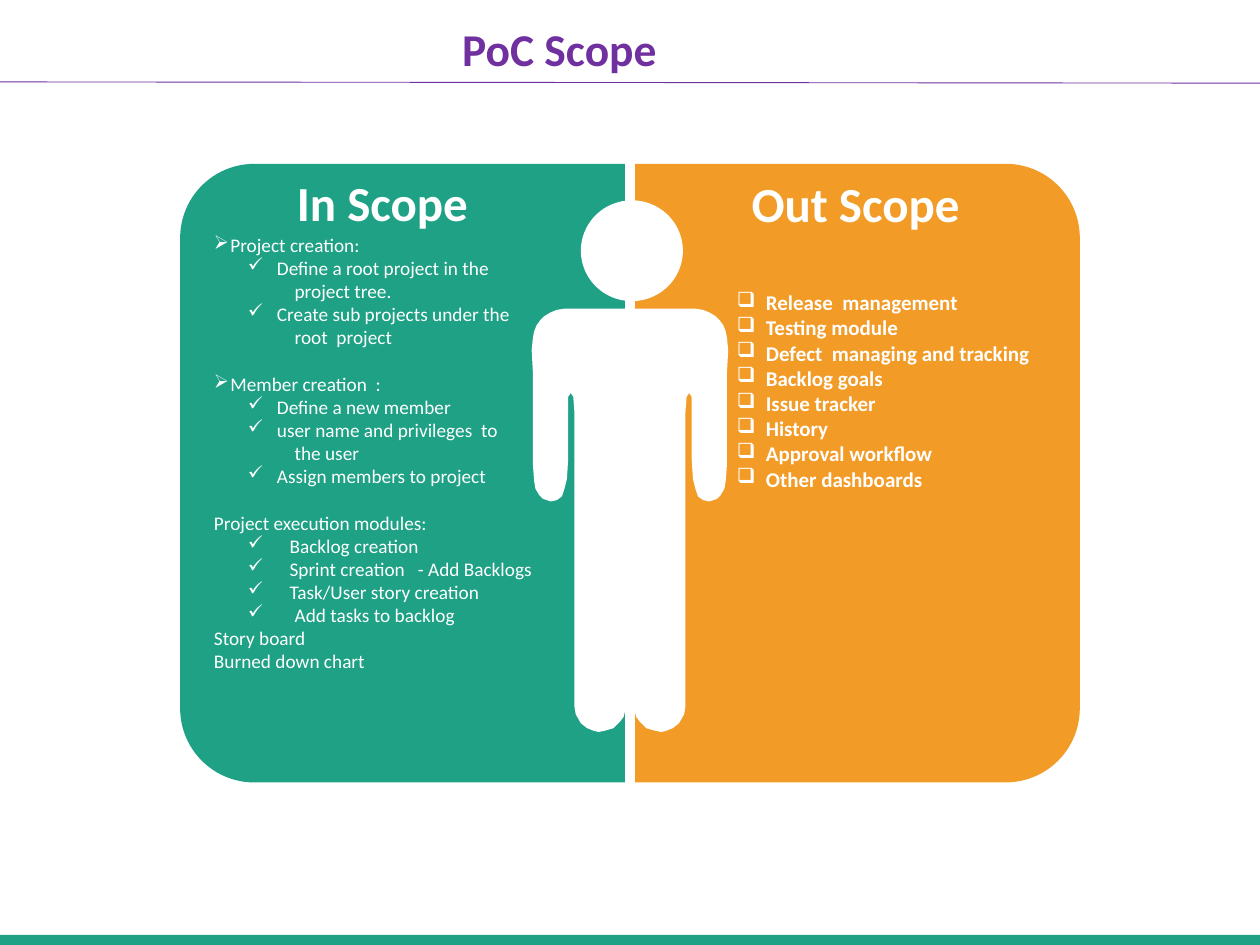
from lxml import etree
from pptx import Presentation
from pptx.dml.color import RGBColor
from pptx.enum.shapes import MSO_CONNECTOR, MSO_SHAPE as SHAPE
from pptx.enum.text import MSO_ANCHOR, PP_ALIGN
from pptx.oxml.ns import qn
from pptx.util import Inches, Pt

COLORS = {"green": "1EA185", "orange": "F29B26", "purple": "7030A0", "white": "FFFFFF"}
FONT = "Calibri"

prs = Presentation()
prs.slide_width, prs.slide_height = Inches(10), Inches(7.5)
s = prs.slides.add_slide(prs.slide_layouts[6])


def paint(sp, color):
    """Give a shape a plain fill, with no outline and no shadow."""
    sp.fill.solid()
    sp.fill.fore_color.rgb = RGBColor.from_string(COLORS[color])
    sp.line.fill.background()
    sp.shadow.inherit = False


def add_text(box, items, size, color="white", bold=False, align=PP_ALIGN.LEFT):
    """Add a text box; items are (text, bullet, text margin, bullet margin, space before)."""
    tf = s.shapes.add_textbox(*[Inches(v) for v in box]).text_frame
    tf.word_wrap = True
    for i, (text, bullet, margin, start, before) in enumerate(items):
        p = tf.paragraphs[0] if i == 0 else tf.add_paragraph()
        p.text = text
        p.alignment = align
        p.space_before = Pt(before)
        font = p.runs[0].font
        font.name, font.size, font.bold = FONT, Pt(size), bold
        font.color.rgb = RGBColor.from_string(COLORS[color])
        pPr = p._p.get_or_add_pPr()
        pPr.set("marL", str(Inches(margin)))
        pPr.set("indent", str(Inches(start) - Inches(margin)))
        if bullet:
            etree.SubElement(pPr, qn("a:buChar")).set("char", bullet)
    return tf


# Footer bar and title
footer = s.shapes.add_shape(SHAPE.RECTANGLE, Inches(-0.01), Inches(7.42), Inches(10.01), Inches(0.09))
paint(footer, "green")
title = add_text((0.13, 0.17, 8.62, 0.48), [("PoC Scope", None, 0, 0, 0)], 26, "purple", True, PP_ALIGN.CENTER)
title.vertical_anchor = MSO_ANCHOR.MIDDLE
title.paragraphs[0].line_spacing = 0.9

# Two halves of the panel, rounded on the outer side
for left, rotation, color in [(0.74, 270, "green"), (4.35, 90, "orange")]:
    half = s.shapes.add_shape(SHAPE.ROUND_2_SAME_RECTANGLE, Inches(left), Inches(1.99), Inches(4.91), Inches(3.53))
    half.rotation = rotation
    paint(half, color)

# Human figure: the left half of the body is mirrored about the centre line
head = s.shapes.add_shape(SHAPE.OVAL, Inches(4.61), Inches(1.59), Inches(0.81), Inches(0.8))
paint(head, "white")
left_body = [
    (4.48, 2.45), (4.42, 2.46), (4.37, 2.48), (4.32, 2.51), (4.29, 2.54), (4.26, 2.58),
    (4.24, 2.63), (4.23, 2.68), (4.22, 2.78), (4.23, 2.96), (4.23, 3.69), (4.24, 3.82),
    (4.25, 3.88), (4.28, 3.93), (4.31, 3.96), (4.37, 3.98), (4.42, 3.97), (4.46, 3.94),
    (4.48, 3.88), (4.5, 3.8), (4.51, 3.64), (4.51, 3.15), (4.53, 3.12), (4.55, 3.15),
    (4.56, 3.28), (4.56, 5.61), (4.57, 5.67), (4.61, 5.74), (4.66, 5.78), (4.71, 5.8),
    (4.75, 5.81), (4.8, 5.8), (4.87, 5.78), (4.92, 5.73), (4.95, 5.69), (4.97, 5.61),
    (4.97, 4.43), (4.99, 4.4),
]
CENTRE = 5.0
outline = left_body + [(2 * CENTRE - x, y) for x, y in reversed(left_body)]
points = [(Inches(x), Inches(y)) for x, y in outline]
builder = s.shapes.build_freeform(*points[0])
builder.add_line_segments(points[1:], close=True)
paint(builder.convert_to_shape(), "white")

# Headings
for box, heading in [((2.06, 1.32, 1.95, 0.57), "In Scope"), ((5.75, 1.33, 2.08, 0.57), "Out Scope")]:
    add_text(box, [(heading, None, 0, 0, 0)], 28, bold=True, align=PP_ALIGN.CENTER)

# Lists
GAP = 13.4
ARROW = ("➢", 0.13, 0)
CHECK = ("✓", 0.5, 0.27)
DEEP_CHECK = ("✓", 0.6, 0.27)
CONTINUED = (None, 0.64, 0.64)
PLAIN = (None, 0, 0)
in_scope = [
    ("Project creation:", *ARROW, 0),
    ("Define a root project in the", *CHECK, 0),
    ("project tree.", *CONTINUED, 0),
    ("Create sub projects under the", *CHECK, 0),
    ("root  project", *CONTINUED, 0),
    ("Member creation  :", *ARROW, GAP),
    ("Define a new member", *CHECK, 0),
    ("user name and privileges  to", *CHECK, 0),
    ("the user", *CONTINUED, 0),
    ("Assign members to project", *CHECK, 0),
    ("Project execution modules:", *PLAIN, GAP),
    ("Backlog creation", *DEEP_CHECK, 0),
    ("Sprint creation   - Add Backlogs", *DEEP_CHECK, 0),
    ("Task/User story creation", *DEEP_CHECK, 0),
    ("Add tasks to backlog", "✓", 0.64, 0.27, 0),
    ("Story board", *PLAIN, 0),
    ("Burned down chart", *PLAIN, 0),
]
add_text((1.6, 1.8, 2.84, 5.47), in_scope, 11)

out_scope = [
    "Release  management", "Testing module", "Defect  managing and tracking", "Backlog goals",
    "Issue tracker", "History", "Approval workflow", "Other dashboards",
]
add_text((5.75, 2.25, 2.62, 2.52), [(text, "❑", 0.23, 0, 0) for text in out_scope], 12, bold=True)

# Rule under the title
rule = s.shapes.add_connector(MSO_CONNECTOR.STRAIGHT, Inches(0), Inches(0.65), Inches(10), Inches(0.66))
rule.line.color.rgb = RGBColor.from_string(COLORS["purple"])
rule.line.width = Pt(0.5)
etree.SubElement(rule._element.spPr, qn("a:effectLst"))

prs.save("out.pptx")
